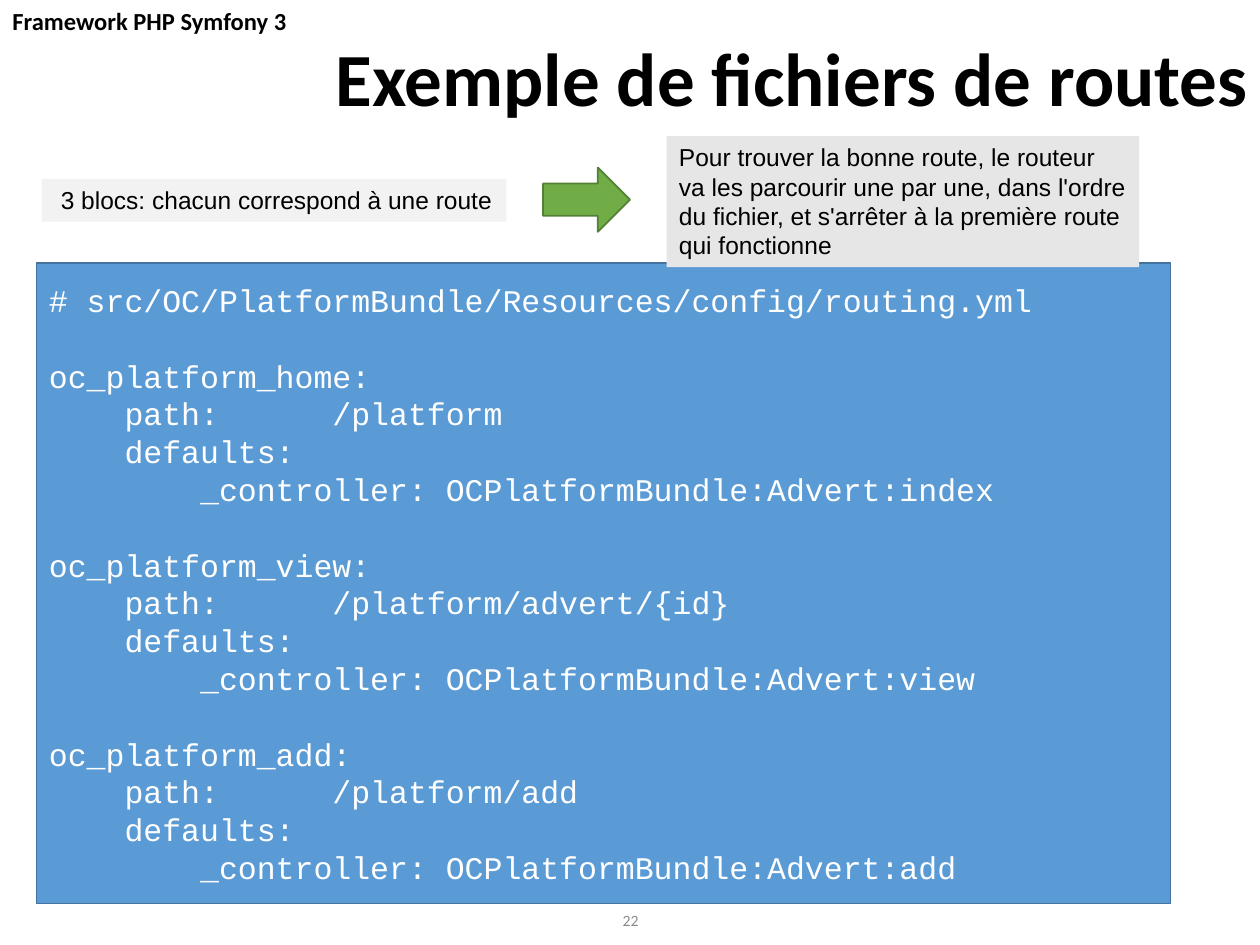
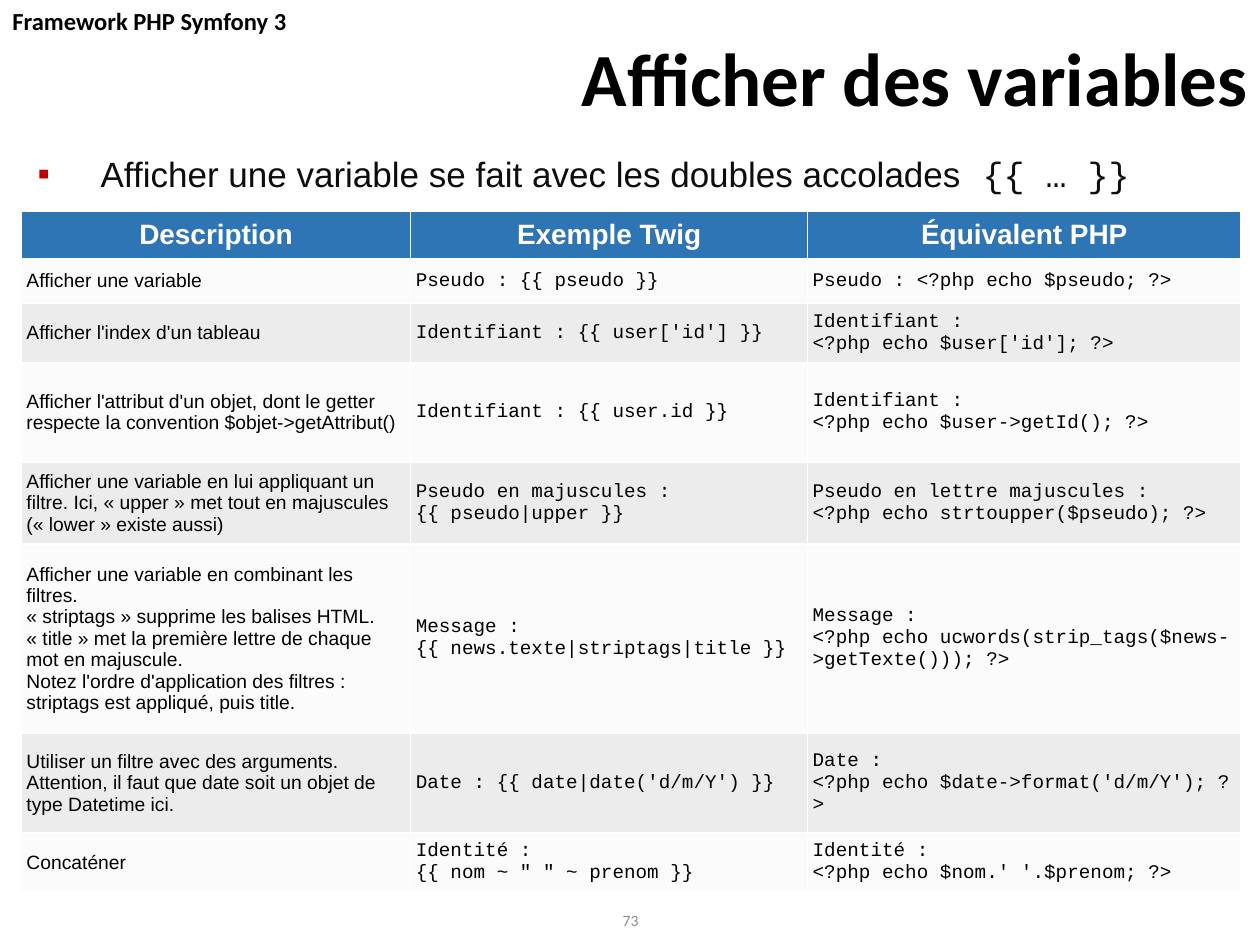
from dataclasses import dataclass
from typing import Optional

from lxml.etree import SubElement
from pptx import Presentation
from pptx.dml.color import RGBColor
from pptx.enum.shapes import MSO_SHAPE
from pptx.enum.text import MSO_ANCHOR, MSO_AUTO_SIZE, PP_ALIGN
from pptx.oxml.ns import qn
from pptx.util import Inches, Pt

BLACK = RGBColor(0x00, 0x00, 0x00)
WHITE = RGBColor(0xFF, 0xFF, 0xFF)
BODY_INK = RGBColor(0x0D, 0x0D, 0x0D)
PAGE_GREY = RGBColor(0x8C, 0x8C, 0x8C)
BULLET_RED = RGBColor(0xC0, 0x00, 0x00)
CODE_BLUE = RGBColor(0x5B, 0x9B, 0xD5)
CODE_EDGE = RGBColor(0x43, 0x73, 0x9E)
NOTE_PALE = RGBColor(0xF2, 0xF2, 0xF2)
NOTE_GREY = RGBColor(0xE7, 0xE6, 0xE6)
ARROW_GREEN = RGBColor(0x70, 0xAD, 0x47)
ARROW_EDGE = RGBColor(0x53, 0x80, 0x35)
HEADER_BLUE = RGBColor(0x2E, 0x75, 0xB6)
ROW_FILLS = (RGBColor(0xEC, 0xEC, 0xEC), RGBColor(0xFB, 0xFB, 0xFB))

CODE_LINE = Pt(21.6)
CODE_TABS = (0.6, 1.2, 2.25)
CELL_MARGIN = Inches(0.04)
COLUMN_WIDTHS = (3.09, 3.15, 3.44)
ROW_HEIGHTS = (0.37, 0.36, 0.47, 0.79, 0.65, 1.5, 0.79, 0.47)


@dataclass(frozen=True)
class Style:
    size: float
    name: str
    color: RGBColor
    bold: bool = False
    align: PP_ALIGN = PP_ALIGN.LEFT


@dataclass(frozen=True)
class Area:
    left: float
    top: float
    width: float
    height: float

    def lengths(self) -> tuple:
        return tuple(Inches(n) for n in (self.left, self.top, self.width, self.height))


@dataclass(frozen=True)
class Block:
    kind: MSO_SHAPE
    area: Area
    fill: RGBColor
    edge: Optional[RGBColor] = None
    text: str = ""
    wrap: bool = True


@dataclass(frozen=True)
class Route:
    name: str
    address: str
    action: str

    def lines(self) -> tuple:
        return (
            f"oc_platform_{self.name}:",
            f"\tpath:\t{self.address}",
            "\tdefaults:",
            f"\t\t_controller: OCPlatformBundle:Advert:{self.action}",
        )


RUNNING_HEAD = Style(14, "Calibri", BLACK, True)
TITLE = Style(42.9, "Calibri", BLACK, True, PP_ALIGN.RIGHT)
PAGE_NUMBER = Style(9, "Calibri", PAGE_GREY, align=PP_ALIGN.CENTER)
CODE = Style(18, "Courier New", WHITE)
NOTE = Style(14, "Arial", BLACK)
BODY = Style(20, "Arial", BODY_INK)
BODY_CODE = Style(20, "Courier New", BODY_INK)
TABLE_HEAD = Style(16, "Arial", WHITE, True, PP_ALIGN.CENTER)
TABLE_TEXT = Style(11, "Arial", BLACK)
TABLE_CODE = Style(11, "Courier New", BLACK)

CODE_BLOCK = Block(MSO_SHAPE.RECTANGLE, Area(0.29, 2.09, 9, 5.08), CODE_BLUE, CODE_EDGE)
NOTE_BLOCKS = (
    Block(MSO_SHAPE.RECTANGLE, Area(0.33, 1.42, 3.69, 0.34), NOTE_PALE,
          text=" 3 blocs: chacun correspond à une route", wrap=False),
    Block(MSO_SHAPE.RECTANGLE, Area(5.29, 1.08, 3.75, 1.04), NOTE_GREY,
          text="Pour trouver la bonne route, le routeur va les parcourir une par une, "
               "dans l'ordre du fichier, et s'arrêter à la première route qui fonctionne"),
    Block(MSO_SHAPE.RIGHT_ARROW, Area(4.31, 1.33, 0.69, 0.51), ARROW_GREEN, ARROW_EDGE),
)
ROUTES = (
    Route("home", "/platform", "index"),
    Route("view", "/platform/advert/{id}", "view"),
    Route("add", "/platform/add", "add"),
)
TABLE_ROWS = (
    ("Description", "Exemple Twig", "Équivalent PHP"),
    ("Afficher une variable", "Pseudo : {{ pseudo }}", "Pseudo : <?php echo $pseudo; ?>"),
    ("Afficher l'index d'un tableau",
     "Identifiant : {{ user['id'] }}",
     "Identifiant :\n<?php echo $user['id']; ?>"),
    ("Afficher l'attribut d'un objet, dont le getter respecte la convention "
     "$objet->getAttribut()",
     "Identifiant : {{ user.id }}",
     "Identifiant :\n<?php echo $user->getId(); ?>"),
    ("Afficher une variable en lui appliquant un filtre. Ici, « upper » met tout en "
     "majuscules (« lower » existe aussi)",
     "Pseudo en majuscules :\n{{ pseudo|upper }}",
     "Pseudo en lettre majuscules :\n<?php echo strtoupper($pseudo); ?>"),
    ("Afficher une variable en combinant les filtres.\v"
     "« striptags » supprime les balises HTML.\v"
     "« title » met la première lettre de chaque mot en majuscule.\v"
     "Notez l'ordre d'application des filtres : striptags est appliqué, puis title.",
     "Message :\n{{ news.texte|striptags|title }}",
     "Message :\n<?php echo ucwords(strip_tags($news->getTexte())); ?>"),
    ("Utiliser un filtre avec des arguments.\v"
     "Attention, il faut que date soit un objet de type Datetime ici.",
     "Date : {{ date|date('d/m/Y') }}",
     "Date :\n<?php echo $date->format('d/m/Y'); ?>"),
    ("Concaténer",
     'Identité :\n{{ nom ~ " " ~ prenom }}',
     "Identité :\n<?php echo $nom.' '.$prenom; ?>"),
)


def apply_font(font, style: Style) -> None:
    font.size = Pt(style.size)
    font.name = style.name
    font.bold = style.bold
    font.color.rgb = style.color


def write(frame, text: str, style: Style) -> None:
    frame.text = text
    for para in frame.paragraphs:
        para.alignment = style.align
        apply_font(para.font, style)


def add_text(page, area: Area, text: str, style: Style):
    frame = page.shapes.add_textbox(*area.lengths()).text_frame
    frame.word_wrap = True
    write(frame, text, style)
    return frame


def add_block(page, block: Block):
    shape = page.shapes.add_shape(block.kind, *block.area.lengths())
    shape.shadow.inherit = False
    shape.fill.solid()
    shape.fill.fore_color.rgb = block.fill
    if block.edge is None:
        shape.line.fill.background()
    else:
        shape.line.color.rgb = block.edge
        shape.line.width = Pt(1)
    if block.text:
        frame = shape.text_frame
        frame.word_wrap = block.wrap
        frame.auto_size = MSO_AUTO_SIZE.SHAPE_TO_FIT_TEXT
        frame.vertical_anchor = MSO_ANCHOR.TOP
        write(frame, block.text, NOTE)
    return shape


def add_page(deck, title: str, number: int):
    page = deck.slides.add_slide(deck.slide_layouts[6])
    footer = add_text(page, Area(3.88, 7.1, 2.25, 0.4), str(number), PAGE_NUMBER)
    footer.vertical_anchor = MSO_ANCHOR.MIDDLE
    footer.margin_left = footer.margin_right = Inches(0.07)
    footer.margin_top = footer.margin_bottom = Inches(0.04)
    add_text(page, Area(0, 0, 10, 0.34), "Framework PHP Symfony 3", RUNNING_HEAD)
    heading = add_text(page, Area(0, 0.34, 10, 0.74), title, TITLE)
    heading.paragraphs[0].line_spacing = 0.8
    return page


def add_tabs(para, stops: tuple) -> None:
    tabs = SubElement(para._p.get_or_add_pPr(), qn("a:tabLst"))
    for stop in stops:
        SubElement(tabs, qn("a:tab"), pos=str(Inches(stop)), algn="l")


def add_bullet(para) -> None:
    properties = para._p.get_or_add_pPr()
    properties.set("marL", str(Inches(0.7)))
    properties.set("indent", str(Inches(-0.5)))
    color = SubElement(properties, qn("a:buClr"))
    SubElement(color, qn("a:srgbClr"), val=str(BULLET_RED))
    SubElement(properties, qn("a:buFont"), typeface="Arial")
    SubElement(properties, qn("a:buChar"), char="▪")


def add_routing_code(page) -> None:
    frame = add_block(page, CODE_BLOCK).text_frame
    frame.word_wrap = True
    frame.vertical_anchor = MSO_ANCHOR.MIDDLE
    lines = ["# src/OC/PlatformBundle/Resources/config/routing.yml"]
    for route in ROUTES:
        lines.extend(route.lines())
    frame.text = "\n".join(lines)
    for para in frame.paragraphs:
        para.alignment = CODE.align
        para.line_spacing = CODE_LINE
        if para.text.startswith("oc_"):
            para.space_before = CODE_LINE
        add_tabs(para, CODE_TABS)
        apply_font(para.font, CODE)


def add_lead(page) -> None:
    frame = page.shapes.add_textbox(*Area(0, 1.16, 10, 5.42).lengths()).text_frame
    frame.word_wrap = True
    para = frame.paragraphs[0]
    add_bullet(para)
    for text, style in (
        ("Afficher une variable se fait avec les doubles accolades", BODY),
        (" {{ … }}", BODY_CODE),
    ):
        span = para.add_run()
        span.text = text
        apply_font(span.font, style)


def add_syntax_table(page) -> None:
    area = Area(0.17, 1.68, sum(COLUMN_WIDTHS), sum(ROW_HEIGHTS))
    table = page.shapes.add_table(
        len(ROW_HEIGHTS), len(COLUMN_WIDTHS), *area.lengths()).table
    table.first_row = table.horz_banding = False
    for column, width in zip(table.columns, COLUMN_WIDTHS):
        column.width = Inches(width)
    for index, (row, height, texts) in enumerate(zip(table.rows, ROW_HEIGHTS, TABLE_ROWS)):
        row.height = Inches(height)
        for position, (cell, text) in enumerate(zip(row.cells, texts)):
            cell.fill.solid()
            cell.fill.fore_color.rgb = ROW_FILLS[index % 2] if index else HEADER_BLUE
            cell.vertical_anchor = MSO_ANCHOR.MIDDLE
            cell.margin_left = cell.margin_right = CELL_MARGIN
            cell.margin_top = cell.margin_bottom = CELL_MARGIN
            body_style = TABLE_CODE if position else TABLE_TEXT
            write(cell.text_frame, text, body_style if index else TABLE_HEAD)


def main() -> None:
    deck = Presentation()
    deck.slide_width, deck.slide_height = Inches(10), Inches(7.5)

    routes_page = add_page(deck, "Exemple de fichiers de routes", 22)
    add_routing_code(routes_page)
    for block in NOTE_BLOCKS:
        add_block(routes_page, block)

    variables_page = add_page(deck, "Afficher des variables", 73)
    add_lead(variables_page)
    add_syntax_table(variables_page)

    deck.save("out.pptx")


if __name__ == "__main__":
    main()
